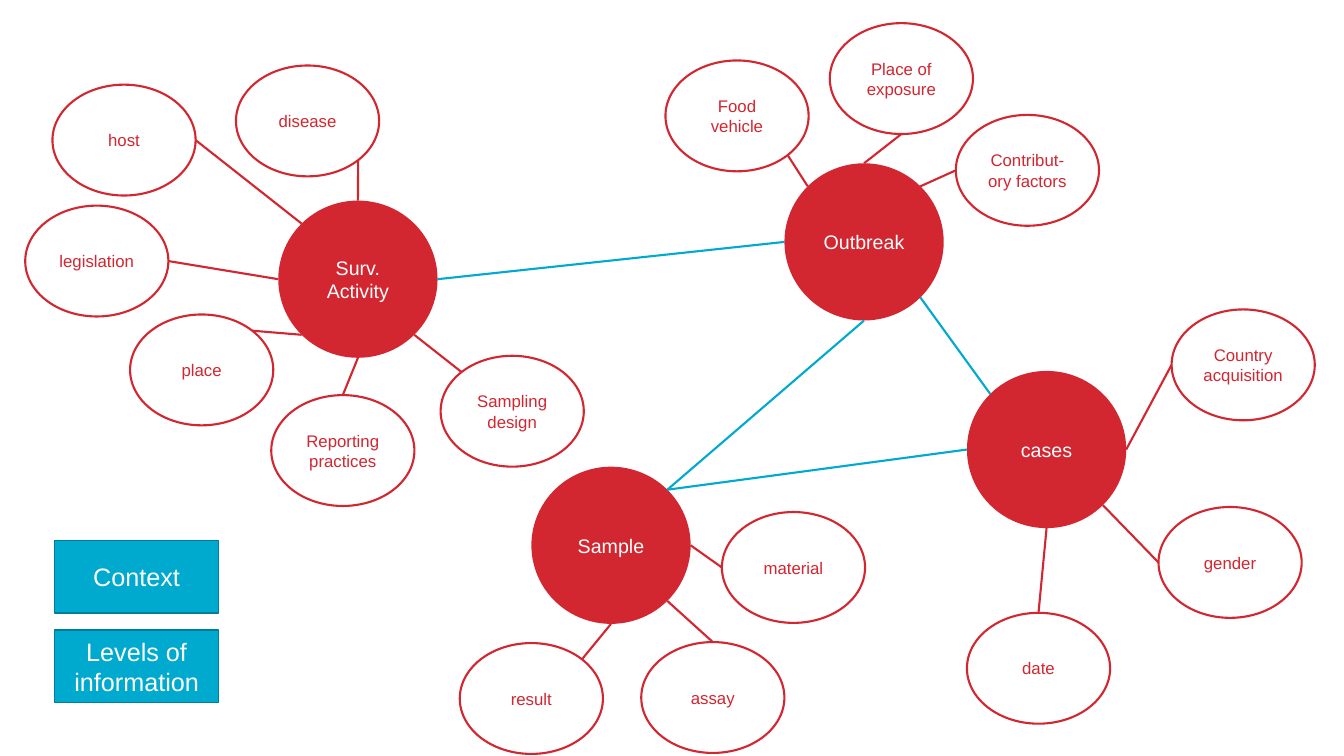
from math import cos, radians, sin

from lxml import etree
from pptx import Presentation
from pptx import util as u
from pptx.dml.color import RGBColor
from pptx.enum import shapes, text
from pptx.oxml import ns

COLUMNS, ROWS = 1333, 750
CELL = u.Inches(0.01)
RED, BLUE, DARK_BLUE, WHITE = "D22630", "00A9CE", "007D98", "FFFFFF"
OVAL, RECTANGLE = shapes.MSO_SHAPE.OVAL, shapes.MSO_SHAPE.RECTANGLE

STYLES = {
    "level": dict(kind=OVAL, size=(158, 156), fill=RED, line=None, width=0, ink=WHITE, points=14),
    "context": dict(kind=OVAL, size=(142, 110), fill=None, line=RED, width=1.5, ink=RED, points=12),
    "legend": dict(kind=RECTANGLE, size=(163, 72), fill=BLUE, line=DARK_BLUE, width=1, ink=WHITE, points=18),
}

BUBBLES = {
    "level": [
        ("Surv. Activity", 276, 199),
        ("Outbreak", 778, 162),
        ("Sample", 527, 463),
        ("cases", 959, 368),
    ],
    "context": [
        ("disease", 234, 65),
        ("host", 52, 84),
        ("legislation", 25, 204),
        ("Sampling design", 437, 353),
        ("Reporting practices", 269, 392),
        ("place", 129, 312),
        ("Contribut-ory factors", 948, 114),
        ("Place of exposure", 823, 23),
        ("Food vehicle", 660, 60),
        ("result", 456, 638),
        ("assay", 636, 637),
        ("material", 716, 508),
        ("date", 959, 608),
        ("gender", 1149, 503),
        ("Country acquisition", 1162, 307),
    ],
    "legend": [
        ("Context", 54, 536),
        ("Levels of information", 54, 625),
    ],
}

SITES = ["top", "top left", "left", "bottom left", "bottom", "bottom right", "right", "top right"]

LINKS = {
    RED: [
        ("disease", "bottom right", "Surv. Activity", "top"),
        ("host", "right", "Surv. Activity", "top left"),
        ("legislation", "right", "Surv. Activity", "left"),
        ("place", "top right", "Surv. Activity", "bottom left"),
        ("Reporting practices", "top", "Surv. Activity", "bottom"),
        ("Sampling design", "top left", "Surv. Activity", "bottom right"),
        ("Food vehicle", "bottom right", "Outbreak", "top left"),
        ("Place of exposure", "bottom", "Outbreak", "top"),
        ("Contribut-ory factors", "left", "Outbreak", "top right"),
        ("result", "top right", "Sample", "bottom"),
        ("assay", "top", "Sample", "bottom right"),
        ("material", "left", "Sample", "right"),
        ("cases", "bottom", "date", "top"),
        ("cases", "bottom right", "gender", "left"),
        ("cases", "right", "Country acquisition", "left"),
    ],
    BLUE: [
        ("Outbreak", "left", "Surv. Activity", "right"),
        ("Sample", "top right", "Outbreak", "bottom"),
        ("cases", "top left", "Outbreak", "bottom right"),
        ("Sample", "top right", "cases", "left"),
    ],
}


def paint(target, color):
    target.solid()
    target.fore_color.rgb = RGBColor.from_string(color)


def add_bubble(page, label, column, row, style):
    width, height = style["size"]
    bubble = page.shapes.add_shape(
        style["kind"], *(CELL * part for part in (column, row, width, height)))
    bubble.shadow.inherit = False
    for target, color in ((bubble.fill, style["fill"]), (bubble.line.fill, style["line"])):
        if color:
            paint(target, color)
        else:
            target.background()
    if style["line"]:
        bubble.line.width = u.Pt(style["width"])
    frame = bubble.text_frame
    frame.word_wrap = True
    frame.vertical_anchor = text.MSO_ANCHOR.MIDDLE
    para = frame.paragraphs[0]
    para.alignment = text.PP_ALIGN.CENTER
    span = para.add_run()
    span.text = label
    for name, value in {"name": "Arial", "size": u.Pt(style["points"])}.items():
        setattr(span.font, name, value)
    paint(span.font.fill, style["ink"])
    return bubble


def rim_point(bubble, site):
    angle = radians(90 + 45 * SITES.index(site))
    x = bubble.left + bubble.width / 2 * (1 + cos(angle))
    y = bubble.top + bubble.height / 2 * (1 - sin(angle))
    return round(x), round(y)


def add_link(page, start, start_site, end, end_site, color):
    link = page.shapes.add_connector(
        shapes.MSO_CONNECTOR.STRAIGHT, *rim_point(start, start_site), *rim_point(end, end_site))
    paint(link.line.fill, color)
    link.line.width = u.Pt(1.5)
    etree.SubElement(link._element.spPr, ns.qn("a:effectLst"))
    joints = link._element.nvCxnSpPr.cNvCxnSpPr
    for tag, bubble, site in (("a:stCxn", start, start_site), ("a:endCxn", end, end_site)):
        etree.SubElement(joints, ns.qn(tag), id=str(bubble.shape_id), idx=str(SITES.index(site)))


def main():
    deck = Presentation()
    deck.slide_width, deck.slide_height = CELL * COLUMNS, CELL * ROWS
    page = deck.slides.add_slide(deck.slide_layouts[6])
    bubbles = {
        label: add_bubble(page, label, column, row, STYLES[style])
        for style, entries in BUBBLES.items()
        for label, column, row in entries
    }
    for color, links in LINKS.items():
        for start, start_site, end, end_site in links:
            add_link(page, bubbles[start], start_site, bubbles[end], end_site, color)
    deck.save("out.pptx")


if __name__ == "__main__":
    main()
